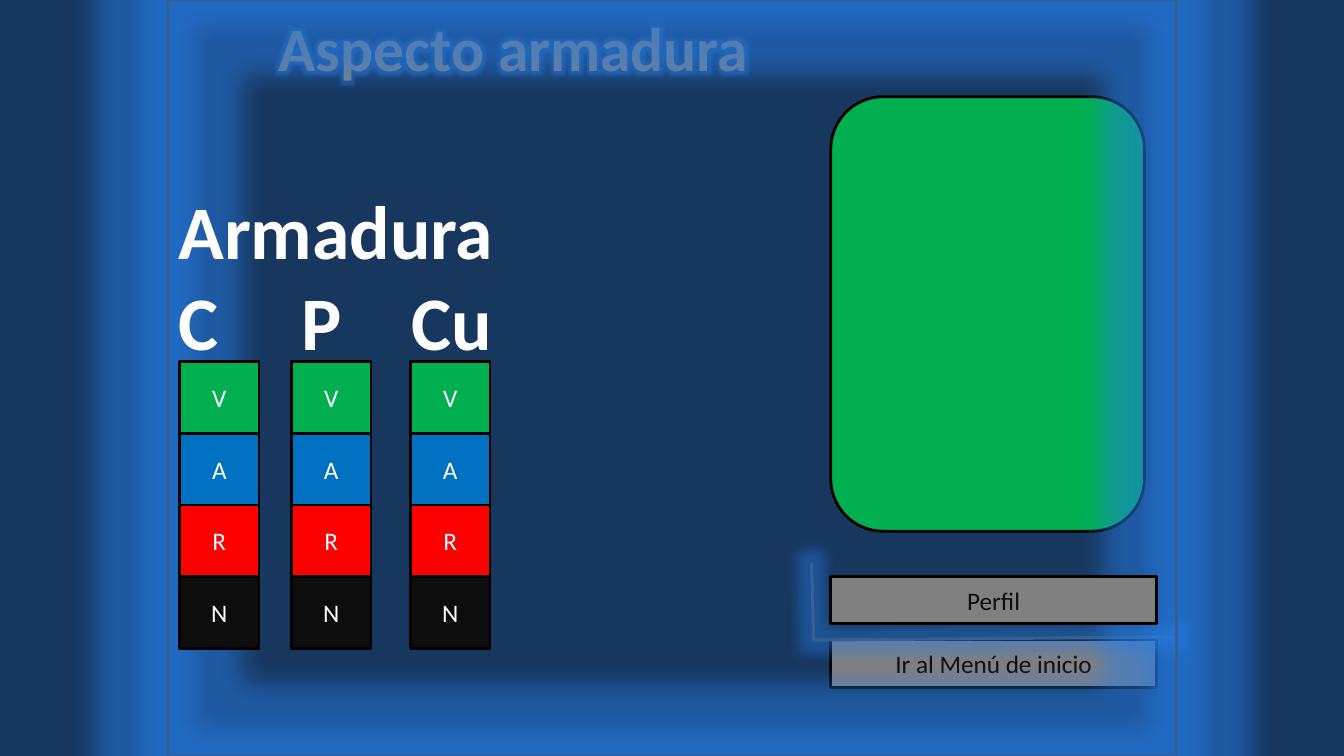
"""Build the armour appearance screen with its colour choices and menu buttons."""
from lxml.etree import SubElement
from pptx import Presentation
from pptx.dml.color import RGBColor
from pptx.enum.shapes import MSO_SHAPE
from pptx.enum.text import MSO_ANCHOR, PP_ALIGN
from pptx.oxml.ns import qn
from pptx.util import Inches, Pt

COLORS = {
    "background": "17375E", "edge": "376092", "glow": "267DE6",
    "grey": "808080", "green": "00B050", "blue": "0070C0",
    "red": "FF0000", "dark": "0D0D0D", "black": "000000", "white": "FFFFFF",
}
FONT = "Calibri"
TITLE = "Aspecto armadura"
HEADINGS = ["Armadura", "C\tP\tCu"]
HEADING_TABS = [1.22, 2.31]
SWATCHES = [("V", "green"), ("A", "blue"), ("R", "red"), ("N", "dark")]
SWATCH_LEFTS = [1.78, 2.89, 4.07]
SWATCH_TOP, SWATCH_WIDTH, SWATCH_HEIGHT = 3.59, 0.79, 0.71
BUTTON_LEFT, BUTTON_WIDTH, BUTTON_HEIGHT = 8.24, 3.23, 0.47
PROFILE = ("Perfil", 5.72)
MENU = ("Ir al Menú de inicio", 6.35)
FIGURE = (8.24, 0.96, 3.11, 4.31)
FRAME = (1.67, 0, 10, 7.5)
DIVIDER = [(8.05, 5.58), (8.07, 6.35), (11.65, 6.32)]


def rgb(name):
    return RGBColor.from_string(COLORS[name])


def style_font(paragraph, size, color, bold=False):
    font = paragraph.font
    font.name, font.size, font.bold = FONT, Pt(size), bold
    font.color.rgb = rgb(color)


def add_glow(effects, radius, alpha):
    glow = SubElement(effects, qn("a:glow"), rad=str(Pt(radius)))
    color = SubElement(glow, qn("a:srgbClr"), val=COLORS["glow"])
    SubElement(color, qn("a:alpha"), val=str(alpha * 1000))


def style_shape(shape, fill, line, width):
    shape.shadow.inherit = False
    if fill:
        shape.fill.solid()
        shape.fill.fore_color.rgb = rgb(fill)
    else:
        shape.fill.background()
    shape.line.color.rgb = rgb(line)
    shape.line.width = Pt(width)


def add_box(slide, box, fill, line="black", kind=MSO_SHAPE.RECTANGLE):
    shape = slide.shapes.add_shape(kind, *map(Inches, box))
    style_shape(shape, fill, line, 2)
    return shape


def add_label_box(slide, box, fill, label, color):
    frame = add_box(slide, box, fill).text_frame
    frame.vertical_anchor = MSO_ANCHOR.MIDDLE
    paragraph = frame.paragraphs[0]
    paragraph.text = label
    paragraph.alignment = PP_ALIGN.CENTER
    style_font(paragraph, 18, color)


def add_button(slide, button):
    label, top = button
    box = (BUTTON_LEFT, top, BUTTON_WIDTH, BUTTON_HEIGHT)
    add_label_box(slide, box, "grey", label, "dark")


def add_title(slide):
    title = slide.shapes.title
    title.left, title.top = Inches(1.71), Inches(0.05)
    title.width, title.height = Inches(6.77), Inches(0.84)
    frame = title.text_frame
    frame.text = TITLE
    frame.word_wrap = False
    frame.vertical_anchor = MSO_ANCHOR.TOP
    paragraph = frame.paragraphs[0]
    paragraph.alignment = PP_ALIGN.CENTER
    style_font(paragraph, 44, "grey", True)
    run_properties = paragraph.runs[0].font._element
    add_glow(SubElement(run_properties, qn("a:effectLst")), 11, 40)


def add_headings(slide):
    box = map(Inches, (1.67, 1.78, 3.36, 1.92))
    frame = slide.shapes.add_textbox(*box).text_frame
    frame.word_wrap = True
    frame.margin_right = 0
    frame.text = "\n".join(HEADINGS)
    for paragraph in frame.paragraphs:
        style_font(paragraph, 54, "white", True)
    properties = frame.paragraphs[1]._p.get_or_add_pPr()
    tabs = properties.makeelement(qn("a:tabLst"))
    for position in HEADING_TABS:
        SubElement(tabs, qn("a:tab"), pos=str(Inches(position)), algn="l")
    properties.insert(0, tabs)


def add_divider(slide):
    start, *rest = [(Inches(x), Inches(y)) for x, y in DIVIDER]
    builder = slide.shapes.build_freeform(*start)
    builder.add_line_segments(rest, close=False)
    divider = builder.convert_to_shape()
    style_shape(divider, None, "edge", 2.25)
    add_glow(divider._element.spPr.find(qn("a:effectLst")), 18, 40)


def add_frame(slide):
    frame = add_box(slide, FRAME, None, "edge")
    add_glow(frame._element.spPr.find(qn("a:effectLst")), 36, 50)


def add_swatches(slide):
    for left in SWATCH_LEFTS:
        for row, (label, fill) in enumerate(SWATCHES):
            top = SWATCH_TOP + row * SWATCH_HEIGHT
            box = (left, top, SWATCH_WIDTH, SWATCH_HEIGHT)
            add_label_box(slide, box, fill, label, "white")


def main():
    presentation = Presentation()
    presentation.slide_width = Inches(13.33)
    presentation.slide_height = Inches(7.5)
    slide = presentation.slides.add_slide(presentation.slide_layouts[5])
    slide.background.fill.solid()
    slide.background.fill.fore_color.rgb = rgb("background")
    add_title(slide)
    add_button(slide, MENU)
    add_box(slide, FIGURE, "green", kind=MSO_SHAPE.ROUNDED_RECTANGLE)
    add_divider(slide)
    add_frame(slide)
    add_button(slide, PROFILE)
    add_headings(slide)
    add_swatches(slide)
    presentation.save("out.pptx")


if __name__ == "__main__":
    main()
